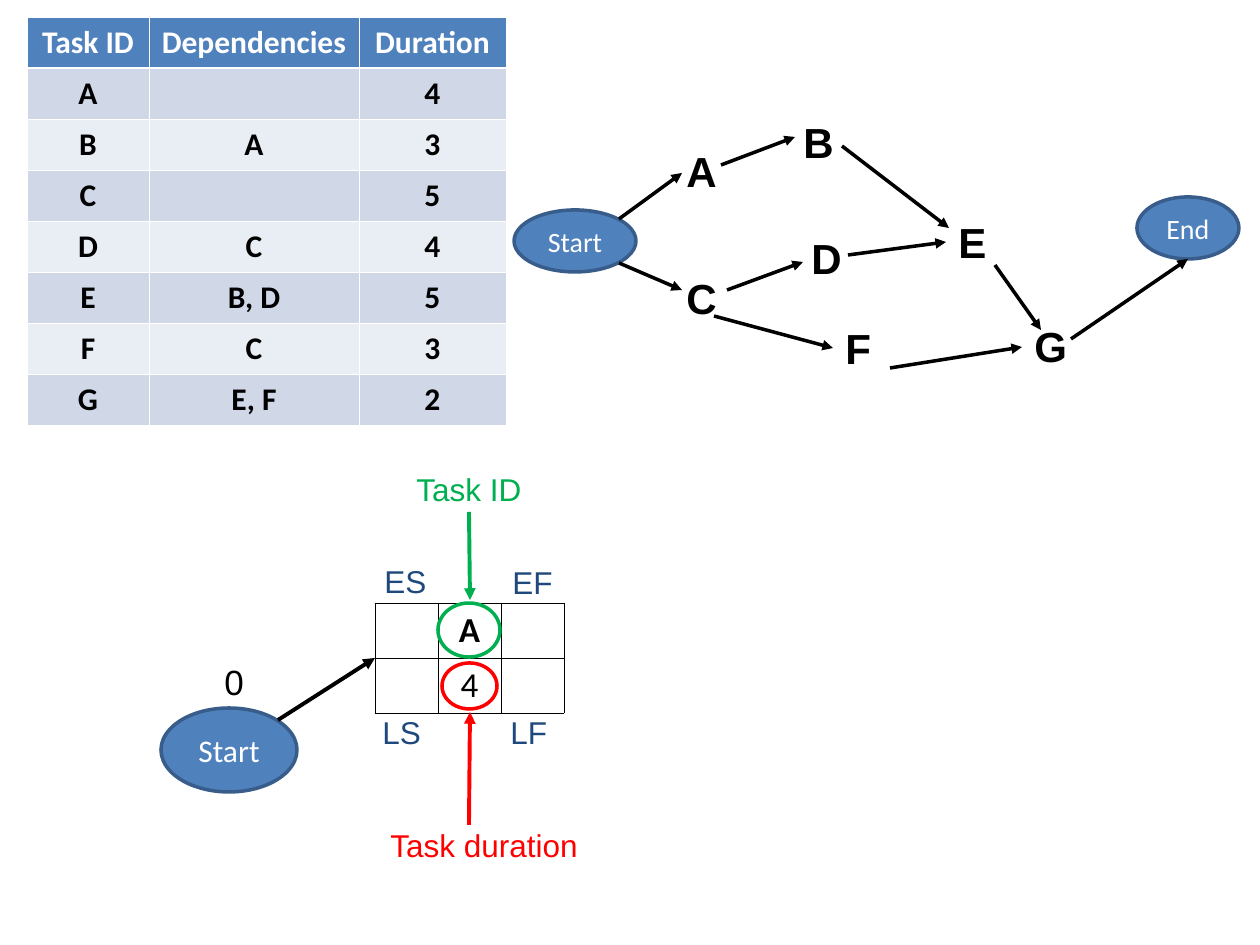
from lxml.etree import SubElement
from pptx import Presentation
from pptx.dml.color import RGBColor
from pptx.enum.shapes import MSO_CONNECTOR as Connector, MSO_SHAPE as Shape
from pptx.enum.text import MSO_ANCHOR as Anchor, PP_ALIGN as Align
from pptx.oxml import parse_xml
from pptx.oxml.ns import nsdecls, qn
from pptx.util import Emu, Pt

PX_PER_INCH = 126
BLACK = RGBColor(0x00, 0x00, 0x00)
WHITE = RGBColor(0xFF, 0xFF, 0xFF)
BLUE = RGBColor(0x4F, 0x81, 0xBD)
OUTLINE_BLUE = RGBColor(0x38, 0x5D, 0x8A)
NAVY = RGBColor(0x1F, 0x49, 0x7D)
GREEN = RGBColor(0x00, 0xB0, 0x50)
RED = RGBColor(0xFF, 0x00, 0x00)
BANDS = (RGBColor(0xE9, 0xED, 0xF4), RGBColor(0xD0, 0xD8, 0xE8))

TASKS = [
    ("Task ID", "Dependencies", "Duration"),
    ("A", "", "4"),
    ("B", "A", "3"),
    ("C", "", "5"),
    ("D", "C", "4"),
    ("E", "B, D", "5"),
    ("F", "C", "3"),
    ("G", "E, F", "2"),
]
TASK_PLACES = {
    "A": (160, 29), "C": (160, 156), "B": (277, 0), "D": (285, 116),
    "E": (432, 100), "F": (319, 206), "G": (508, 204),
}
DEPENDENCY_ARROWS = [
    (105, 109, 168, 63),   # Start to A
    (105, 153, 168, 180),  # Start to C
    (207, 55, 281, 27),    # A to B
    (213, 180, 289, 152),  # C to D
    (334, 145, 432, 132),  # D to E
    (328, 36, 435, 118),   # B to E
    (200, 206, 319, 238),  # C to F
    (376, 258, 508, 237),  # F to G
    (481, 155, 527, 220),  # E to G
    (557, 229, 674, 149),  # G to End
]
TIME_LABELS = [("ES", 211, 92), ("EF", 339, 93), ("LS", 209, 243), ("LF", 337, 243)]


def px(length):
    return Emu(round(length * 914400 / PX_PER_INCH))


def style_text(frame, text, size, color, font="Calibri", bold=False, align=Align.CENTER):
    frame.text = text
    paragraph = frame.paragraphs[0]
    paragraph.alignment = align
    paragraph.font.name = font
    paragraph.font.size = Pt(size)
    paragraph.font.bold = bold
    paragraph.font.color.rgb = color


def add_label(slide, text, x, y, width, height, size, color, bold=False):
    frame = slide.shapes.add_textbox(px(x), px(y), px(width), px(height)).text_frame
    frame.word_wrap = True
    style_text(frame, text, size, color, "Arial", bold, Align.LEFT)


def add_ellipse(slide, x, y, width, height, line_color):
    ellipse = slide.shapes.add_shape(Shape.OVAL, px(x), px(y), px(width), px(height))
    ellipse.shadow.inherit = False
    ellipse.fill.background()
    ellipse.line.color.rgb = line_color
    ellipse.line.width = Pt(2)
    return ellipse


def add_milestone(slide, text, x, y, width, height, size):
    """Filled ellipse that marks the start or end of the project."""
    milestone = add_ellipse(slide, x, y, width, height, OUTLINE_BLUE)
    milestone.fill.solid()
    milestone.fill.fore_color.rgb = BLUE
    milestone.text_frame.vertical_anchor = Anchor.MIDDLE
    style_text(milestone.text_frame, text, size, WHITE)


def add_arrow(slide, x1, y1, x2, y2, color=BLACK, width=2.0):
    arrow = slide.shapes.add_connector(
        Connector.STRAIGHT, px(x1), px(y1), px(x2), px(y2))
    arrow.line.color.rgb = color
    arrow.line.width = Pt(width)
    SubElement(arrow.line._get_or_add_ln(), qn("a:tailEnd"), type="triangle")
    SubElement(arrow._element.spPr, qn("a:effectLst"))


def set_borders(cell, color, top=0.45, bottom=0.45):
    properties = cell._tc.get_or_add_tcPr()
    for side, width in (("L", 0.45), ("R", 0.45), ("T", top), ("B", bottom)):
        properties.append(parse_xml(
            f'<a:ln{side} {nsdecls("a")} w="{Pt(width)}"><a:solidFill>'
            f'<a:srgbClr val="{color}"/></a:solidFill></a:ln{side}>'))


def add_grid(slide, x, y, column_widths, row_height, row_count):
    """Table without banding, sized by its columns and rows."""
    grid = slide.shapes.add_table(
        row_count, len(column_widths), px(x), px(y),
        px(sum(column_widths)), px(row_height * row_count)).table
    grid.first_row = grid.horz_banding = False
    for column, width in zip(grid.columns, column_widths):
        column.width = px(width)
    return grid


def draw_task_table(slide, left, top):
    grid = add_grid(slide, left, top, (122, 210, 147), 51, len(TASKS))
    for r, task in enumerate(TASKS):
        for c, text in enumerate(task):
            cell = grid.cell(r, c)
            set_borders(cell, WHITE, top=1.47 if r == 1 else 0.45,
                        bottom=1.47 if r == 0 else 0.45)
            cell.fill.solid()
            cell.fill.fore_color.rgb = BANDS[r % 2] if r else BLUE
            style_text(cell.text_frame, text, 18, BLACK if r else WHITE, bold=True)


def draw_network(slide, left, top):
    for task, (x, y) in TASK_PLACES.items():
        add_label(slide, task, left + x, top + y, 57, 63, 24, BLACK, bold=True)
    add_milestone(slide, "Start", left, top + 100, 122, 62, 16)
    add_milestone(slide, "End", left + 623, top + 87, 102, 62, 16)
    for x1, y1, x2, y2 in DEPENDENCY_ARROWS:
        add_arrow(slide, left + x1, top + y1, left + x2, top + y2)


def draw_node_key(slide, left, top):
    """Explains the fields of one task node."""
    add_milestone(slide, "Start", left, top + 244, 136, 84, 18)
    node = add_grid(slide, left + 214, top + 139, (63, 63, 63), 55, 2)
    for r, field in enumerate(("A", "4")):
        for c, text in enumerate(("", field, "")):
            cell = node.cell(r, c)
            set_borders(cell, BLACK)
            cell.fill.background()
            style_text(cell.text_frame, text, 20 if text else 18, BLACK, bold=r == 0)

    add_label(slide, "0", left + 51, top + 190, 68, 55, 20, BLACK)
    add_arrow(slide, left + 117, top + 256, left + 214, top + 194, width=2.25)
    for text, x, y in TIME_LABELS:
        add_label(slide, text, left + x, top + y, 89, 50, 18, NAVY)

    add_label(slide, "Task ID", left + 243, top, 132, 88, 18, GREEN)
    add_ellipse(slide, left + 277, top + 139, 62, 54, GREEN)
    add_arrow(slide, left + 308, top + 48, left + 309, top + 136, GREEN, 2.25)

    add_ellipse(slide, left + 281, top + 199, 55, 46, RED)
    add_label(slide, "Task duration", left + 217, top + 356, 220, 50, 18, RED)
    add_arrow(slide, left + 308, top + 361, left + 309, top + 248, RED, 2.25)


def main():
    deck = Presentation()
    deck.slide_width, deck.slide_height = px(1260), px(945)
    slide = deck.slides.add_slide(deck.slide_layouts[6])
    draw_task_table(slide, 27, 17)
    draw_network(slide, 514, 110)
    draw_node_key(slide, 161, 464)
    deck.save("out.pptx")


if __name__ == "__main__":
    main()
